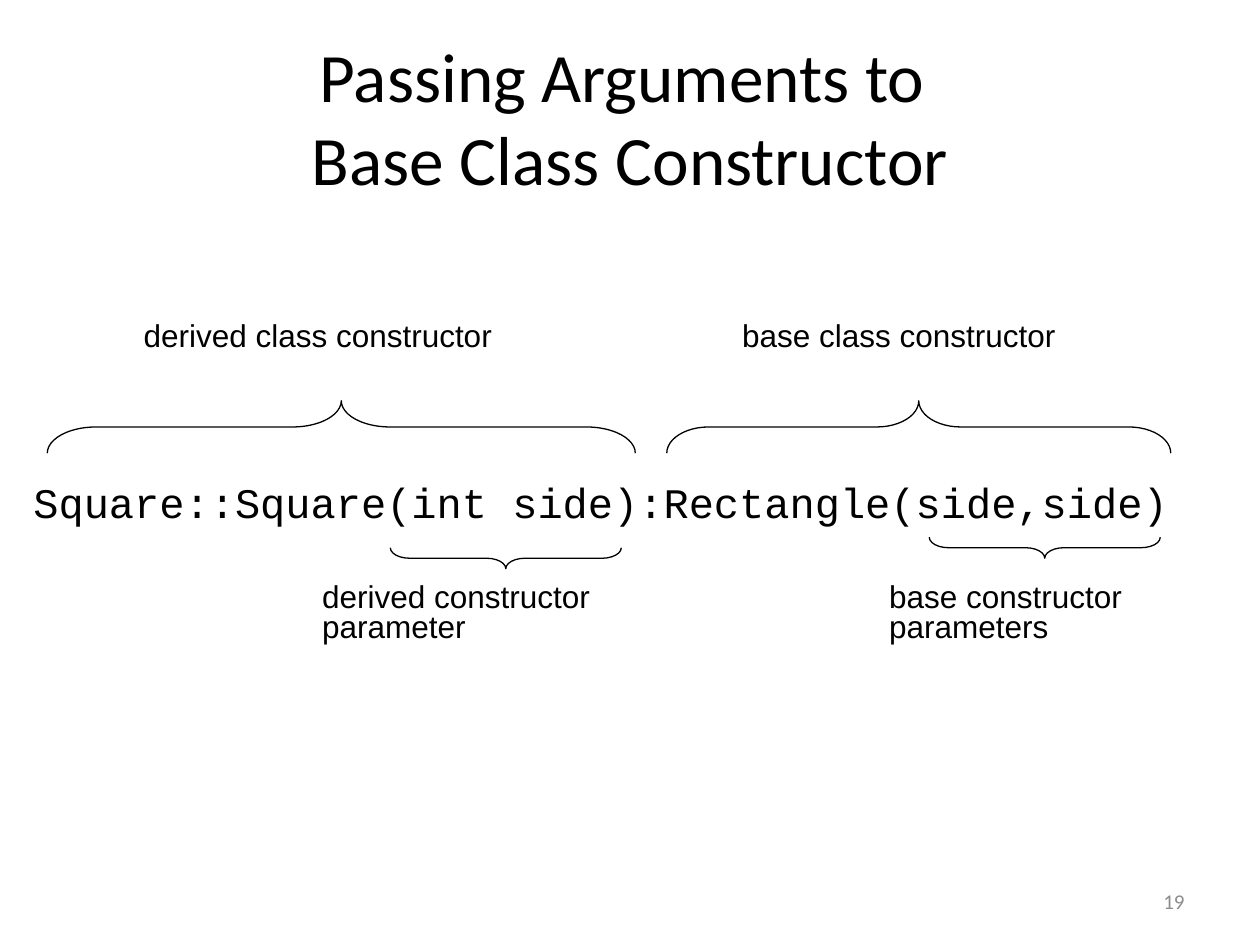
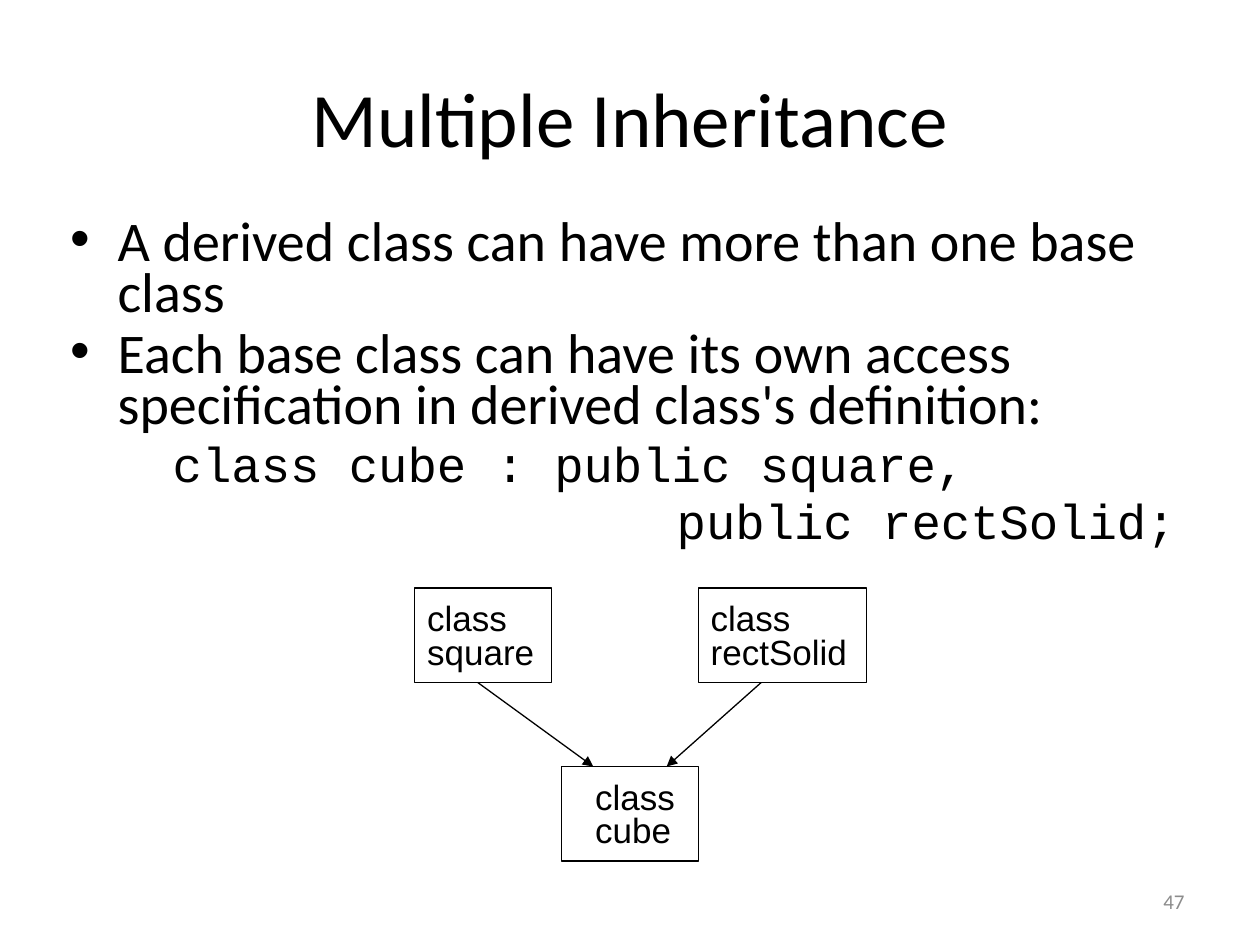
from dataclasses import dataclass

from lxml import etree
from pptx import Presentation
from pptx.dml.color import RGBColor
from pptx.enum import shapes, text
from pptx.oxml import ns
from pptx.util import Pt


@dataclass(frozen=True)
class Theme:
    ink: RGBColor = RGBColor(0, 0, 0)
    muted: RGBColor = RGBColor(0x8C, 0x8C, 0x8C)
    heading_font: str = "Calibri"
    label_font: str = "Arial"
    code_font: str = "Courier New"
    title: float = 44
    long_title: float = 39.6
    bullet: float = 32
    body_code: float = 28
    code: float = 24
    class_name: float = 20
    label: float = 18
    number: float = 12
    line: float = 0.75


THEME = Theme()
TITLE_AREA = (36, 21.6, 648, 90)
NUMBER_AREA = (516, 500.4, 168, 28.8)


def points(*lengths):
    return [Pt(length) for length in lengths]


def apply(target, values):
    for name, value in values.items():
        setattr(target, name, value)


def format_runs(paragraph, font, size, color=THEME.ink):
    for run in paragraph.runs:
        apply(run.font, {"name": font, "size": Pt(size)})
        run.font.color.rgb = color


def place(shape, area):
    apply(shape, dict(zip(("left", "top", "width", "height"), points(*area))))


def add_title(slide, wording, size):
    title = slide.shapes.title
    place(title, TITLE_AREA)
    frame = title.text_frame
    frame.text = wording
    apply(frame, {"auto_size": text.MSO_AUTO_SIZE.NONE, "vertical_anchor": text.MSO_ANCHOR.MIDDLE})
    paragraph = frame.paragraphs[0]
    paragraph.alignment = text.PP_ALIGN.CENTER
    format_runs(paragraph, THEME.heading_font, size)
    for line_break in paragraph._p.findall(ns.qn("a:br")):
        etree.SubElement(line_break, ns.qn("a:rPr"), sz=str(round(size * 100)))


def add_text(parent, wording, area, font, size, color=THEME.ink, wrap=True,
             anchor=text.MSO_ANCHOR.TOP, **paragraph_values):
    frame = parent.add_textbox(*points(*area)).text_frame
    frame.text = wording
    apply(frame, {"word_wrap": wrap, "vertical_anchor": anchor})
    for paragraph in frame.paragraphs:
        apply(paragraph, paragraph_values)
        format_runs(paragraph, font, size, color)


def start_slide(presentation, layout, title, size, number):
    slide = presentation.slides.add_slide(presentation.slide_layouts.get_by_name(layout))
    add_title(slide, title, size)
    add_text(slide.shapes, number, NUMBER_AREA, THEME.heading_font, THEME.number, THEME.muted,
             anchor=text.MSO_ANCHOR.MIDDLE, alignment=text.PP_ALIGN.RIGHT)
    return slide


def add_outline(parent, kind, area):
    shape = parent.add_shape(kind, *points(*area))
    shape.shadow.inherit = False
    shape.fill.background()
    shape.line.color.rgb = THEME.ink
    shape.line.width = Pt(THEME.line)
    return shape


def add_brace(slide, kind, left, top, span, depth, curve):
    turned = (left + (span - depth) / 2, top - (span - depth) / 2, depth, span)
    brace = add_outline(slide.shapes, kind, turned)
    brace.rotation = 90
    brace.adjustments[0] = curve


def add_arrow(parent, start, end):
    arrow = parent.add_connector(shapes.MSO_CONNECTOR.STRAIGHT, *points(*start, *end))
    arrow.line.color.rgb = THEME.ink
    arrow.line.width = Pt(THEME.line)
    etree.SubElement(arrow.line._get_or_add_ln(), ns.qn("a:tailEnd"), type="triangle")
    etree.SubElement(arrow._element.spPr, ns.qn("a:effectLst"))


def add_class_box(parent, name, area, label_offset=0):
    left, top, width, height = area
    add_outline(parent, shapes.MSO_SHAPE.RECTANGLE, area)
    add_text(parent, f"class\n{name}", (left + label_offset, top + 6, width - label_offset, 46),
             THEME.label_font, THEME.class_name, wrap=False, line_spacing=0.8)


def add_body(slide, bullets, code_lines):
    body = slide.placeholders[1]
    place(body, (33, 123, 654, 180))
    frame = body.text_frame
    frame.text = "\n".join(bullets + [line for line, _ in code_lines])
    frame.auto_size = text.MSO_AUTO_SIZE.NONE
    bullet_paragraphs = frame.paragraphs[:len(bullets)]
    for index, paragraph in enumerate(bullet_paragraphs):
        apply(paragraph, {"line_spacing": 0.75, "space_before": Pt(6.4 if index else 0)})
        format_runs(paragraph, THEME.heading_font, THEME.bullet)
    for paragraph, (_, indent) in zip(frame.paragraphs[len(bullets):], code_lines):
        apply(paragraph, {"line_spacing": 0.75, "space_before": Pt(7.4)})
        properties = paragraph._p.get_or_add_pPr()
        properties.set("marL", str(Pt(indent)))
        properties.set("indent", "0")
        etree.SubElement(properties, ns.qn("a:buNone"))
        format_runs(paragraph, THEME.code_font, THEME.body_code)


def build_constructor_slide(presentation):
    slide = start_slide(presentation, "Title Only",
                        "Passing Arguments to \vBase Class Constructor", THEME.long_title, "19")
    add_text(slide.shapes, "Square::Square(int side):Rectangle(side,side)", (12, 273, 687, 36),
             THEME.code_font, THEME.code, line_spacing=0.85)
    above, below = shapes.MSO_SHAPE.LEFT_BRACE, shapes.MSO_SHAPE.RIGHT_BRACE
    for kind, left, top, span, depth, curve in (
        (above, 27, 229, 336, 30, 0.93),
        (above, 381, 229, 288, 30, 0.8),
        (below, 531, 307, 132, 12, 0.92),
        (below, 223, 313, 132, 12, 0.92),
    ):
        add_brace(slide, kind, left, top, span, depth, curve)
    for wording, left, width in (("derived class constructor", 75, 280),
                                 ("base class constructor", 417, 253)):
        add_text(slide.shapes, wording, (left, 177, width, 36),
                 THEME.label_font, THEME.label, wrap=False)
    for wording, left, width in (("derived constructor parameter", 177, 240),
                                 ("base constructor parameters", 501, 198)):
        add_text(slide.shapes, wording, (left, 330.5, width, 53),
                 THEME.label_font, THEME.label, line_spacing=0.8)


def build_inheritance_slide(presentation):
    slide = start_slide(presentation, "Title and Content", "Multiple Inheritance", THEME.title, "47")
    add_body(slide,
             ["A derived class can have more than one base class",
              "Each base class can have its own access specification in derived class's definition:"],
             [("class cube : public square,", 58.5), ("public rectSolid;", 346.5)])
    diagram = slide.shapes.add_group_shape().shapes
    base_top, derived_top, height = 336, 438, 54
    add_class_box(diagram, "square", (237, base_top, 78, height))
    add_class_box(diagram, "rectSolid", (399, base_top, 96, height))
    add_class_box(diagram, "cube", (321, derived_top, 78, height), label_offset=12)
    for start, end in ((273, 339), (435, 381)):
        add_arrow(diagram, (start, base_top + height), (end, derived_top))


def main():
    presentation = Presentation()
    apply(presentation, {"slide_width": Pt(720), "slide_height": Pt(540)})
    build_constructor_slide(presentation)
    build_inheritance_slide(presentation)
    presentation.save("out.pptx")


if __name__ == "__main__":
    main()
